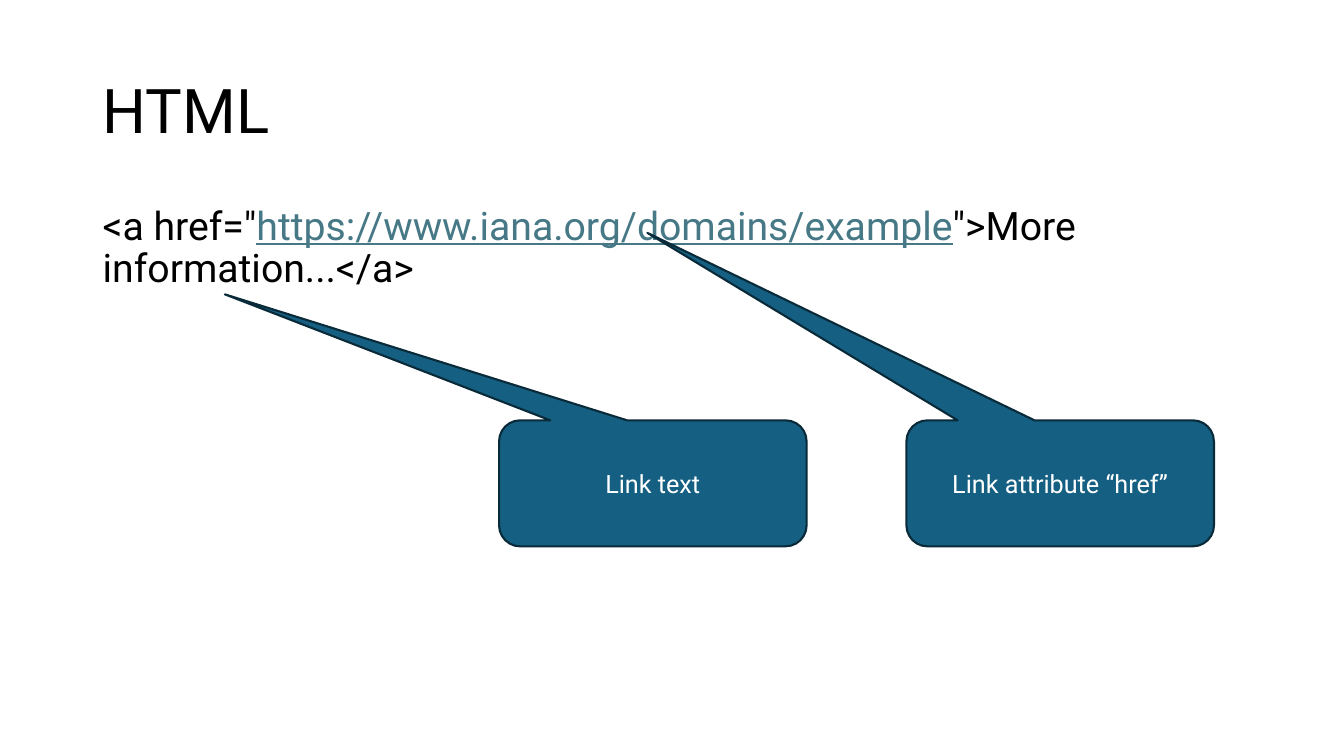
"""Build a slide that labels the parts of an HTML link."""
from pptx import Presentation
from pptx.dml.color import RGBColor
from pptx.enum.shapes import MSO_SHAPE
from pptx.enum.text import MSO_ANCHOR, PP_ALIGN
from pptx.util import Inches, Pt

CALLOUT = MSO_SHAPE.ROUNDED_RECTANGULAR_CALLOUT
MIDDLE = MSO_ANCHOR.MIDDLE
TOP = MSO_ANCHOR.TOP
CENTER = PP_ALIGN.CENTER

BLACK = RGBColor(0x00, 0x00, 0x00)
WHITE = RGBColor(0xFF, 0xFF, 0xFF)
LINK = RGBColor(0x46, 0x78, 0x86)
BLUE = RGBColor(0x15, 0x60, 0x82)
OUTLINE = RGBColor(0x09, 0x2A, 0x39)
FONT = "Roboto"


def style_font(font, size, color):
    """Set the typeface, size and colour of a font."""
    font.name = FONT
    font.size = Pt(size)
    font.color.rgb = color


def add_paragraph_box(slide, box, anchor, size):
    """Add a wrapping text box and return its styled paragraph."""
    frame = slide.shapes.add_textbox(*map(Inches, box)).text_frame
    frame.word_wrap = True
    frame.vertical_anchor = anchor
    paragraph = frame.paragraphs[0]
    paragraph.line_spacing = 0.9
    style_font(paragraph.font, size, BLACK)
    return paragraph


def add_title(slide, box, title):
    """Place the slide title in the box."""
    add_paragraph_box(slide, box, MIDDLE, 44).add_run().text = title


def add_link_code(slide, box, before, address, after):
    """Place the link's source code, with its address underlined."""
    code = add_paragraph_box(slide, box, TOP, 28)
    code.space_before = Pt(10)
    for part in (before, address, after):
        run = code.add_run()
        run.text = part
        style_font(run.font, 28, LINK if part == address else BLACK)
        run.font.underline = part == address


def add_callout(slide, box, tip, label):
    """Place a labelled callout in the box, pointing at the tip."""
    left, top, width, height = box
    callout = slide.shapes.add_shape(CALLOUT, *map(Inches, box))
    callout.adjustments[0] = (tip[0] - left) / width - 0.5
    callout.adjustments[1] = (tip[1] - top) / height - 0.5
    callout.shadow.inherit = False
    callout.fill.solid()
    callout.fill.fore_color.rgb = BLUE
    callout.line.color.rgb = OUTLINE
    callout.line.width = Pt(1.5)
    frame = callout.text_frame
    frame.word_wrap = True
    frame.vertical_anchor = MIDDLE
    paragraph = frame.paragraphs[0]
    paragraph.text = label
    paragraph.alignment = CENTER
    style_font(paragraph.font, 18, WHITE)


def main():
    """Build and save the presentation."""
    deck = Presentation()
    deck.slide_width, deck.slide_height = Inches(13.33), Inches(7.5)
    slide = deck.slides.add_slide(deck.slide_layouts[6])
    add_title(slide, (0.92, 0.4, 11.5, 1.45), "HTML")
    add_link_code(
        slide, (0.92, 2, 11.5, 4.76),
        '<a href="', "https://www.iana.org/domains/example",
        '">More information...</a>',
    )
    callouts = (
        (4.95, (2.23, 2.92), "Link text"),
        (8.99, (6.42, 2.31), "Link attribute “href”"),
    )
    for left, tip, label in callouts:
        add_callout(slide, (left, 4.17, 3.05, 1.25), tip, label)
    deck.save("out.pptx")


if __name__ == "__main__":
    main()
